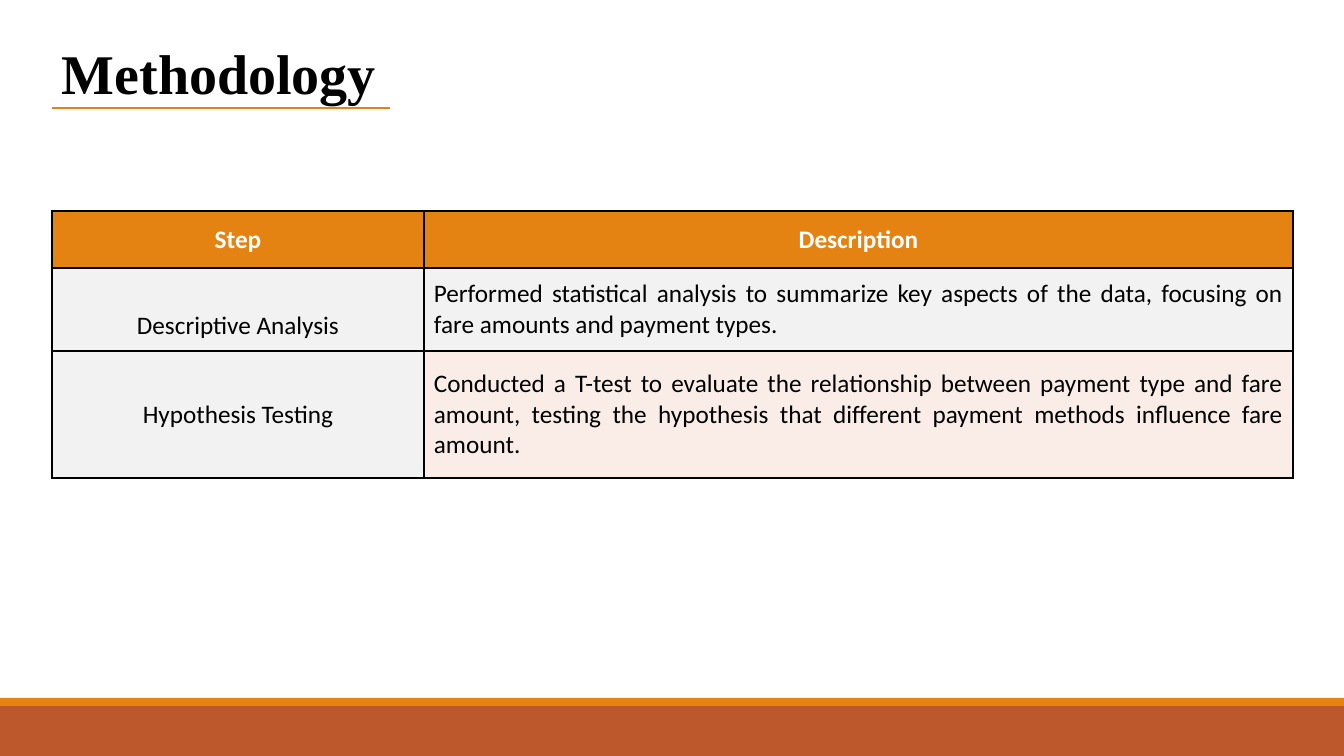
import lxml.etree
import pptx
import pptx.dml.color
import pptx.enum.shapes
import pptx.enum.text
import pptx.oxml
import pptx.oxml.ns
import pptx.util

PX = 12700 * 5 / 7  # 100.8 px to the inch
RGB = pptx.dml.color.RGBColor.from_string
ALIGN = pptx.enum.text.PP_ALIGN
ANCHOR = pptx.enum.text.MSO_ANCHOR
THEME = {
    "orange": "E48312", "rust": "BD582C", "grey": "F2F2F2", "blush": "FAEDE7",
    "black": "000000", "white": "FFFFFF",
    "title_font": "Times New Roman", "body_font": "Calibri",
    "title_size": 40, "body_size": 18, "line_width": 1,
}


def px(length):
    return round(length * PX)


def style_text(paragraph, text, font, size, color, bold, align):
    paragraph.alignment = align
    run = paragraph.add_run()
    run.text = text
    run.font.color.rgb = RGB(THEME[color])
    formats = {"name": THEME[font], "size": pptx.util.Pt(THEME[size]), "bold": bold}
    for key, value in formats.items():
        setattr(run.font, key, value)


deck = pptx.Presentation()
deck.slide_width, deck.slide_height = px(1344), px(756)
slide = deck.slides.add_slide(deck.slide_layouts[5])

# Footer bands
for top, height, color in [(706, 50, "rust"), (698, 8, "orange")]:
    band = slide.shapes.add_shape(
        pptx.enum.shapes.MSO_SHAPE.RECTANGLE, 0, px(top), px(1344), px(height))
    band.shadow.inherit = False
    band.fill.solid()
    band.fill.fore_color.rgb = RGB(THEME[color])
    band.line.fill.background()

# Title and its rule
title = slide.shapes.title
title_box = {"left": 52, "top": 27, "width": 338, "height": 146}
for key, value in title_box.items():
    setattr(title, key, px(value))
title_format = {
    "word_wrap": False, "auto_size": pptx.enum.text.MSO_AUTO_SIZE.NONE,
    "vertical_anchor": ANCHOR.TOP, "margin_left": px(10), "margin_top": px(12),
}
for key, value in title_format.items():
    setattr(title.text_frame, key, value)
style_text(title.text_frame.paragraphs[0], "Methodology",
           "title_font", "title_size", "black", True, ALIGN.LEFT)

rule = slide.shapes.add_connector(
    pptx.enum.shapes.MSO_CONNECTOR.STRAIGHT, px(52), px(108), px(390), px(108))
rule.line.color.rgb = RGB(THEME["orange"])
rule.line.width = pptx.util.Pt(THEME["line_width"])
lxml.etree.SubElement(rule.element.spPr, pptx.oxml.ns.qn("a:effectLst"))

# Steps table
steps = [
    ("Step", "Description"),
    ("Descriptive Analysis",
     "Performed statistical analysis to summarize key aspects of the data, "
     "focusing on fare amounts and payment types."),
    ("Hypothesis Testing",
     "Conducted a T-test to evaluate the relationship between payment type and "
     "fare amount, testing the hypothesis that different payment methods "
     "influence fare amount."),
]
fills = [("orange", "orange"), ("grey", "grey"), ("grey", "blush")]
widths, heights = [372, 869], [57, 83, 127]
table = slide.shapes.add_table(
    len(heights), len(widths), px(52), px(211), px(sum(widths)), px(sum(heights))).table
for column, width in zip(table.columns, widths):
    column.width = px(width)
for row, height in zip(table.rows, heights):
    row.height = px(height)

for r, row in enumerate(steps):
    for c, text in enumerate(row):
        cell = table.cell(r, c)
        cell.fill.solid()
        cell.fill.fore_color.rgb = RGB(THEME[fills[r][c]])
        cell_format = {"vertical_anchor": ANCHOR.MIDDLE, "margin_left": px(10),
                       "margin_right": px(10), "margin_top": px(5), "margin_bottom": px(5)}
        if text == "Descriptive Analysis":
            cell_format.update(vertical_anchor=ANCHOR.BOTTOM, margin_bottom=px(10))
        for key, value in cell_format.items():
            setattr(cell, key, value)
        header = r == 0
        style_text(cell.text_frame.paragraphs[0], text, "body_font", "body_size",
                   "white" if header else "black", header,
                   ALIGN.CENTER if header or c == 0 else ALIGN.JUSTIFY)
        for position, side in enumerate(("lnL", "lnR", "lnT", "lnB")):
            border = pptx.oxml.parse_xml(
                f'<a:{side} {pptx.oxml.ns.nsdecls("a")} '
                f'w="{pptx.util.Pt(THEME["line_width"])}"><a:solidFill>'
                f'<a:srgbClr val="{THEME["black"]}"/></a:solidFill></a:{side}>')
            cell._tc.get_or_add_tcPr().insert(position, border)

deck.save("out.pptx")
